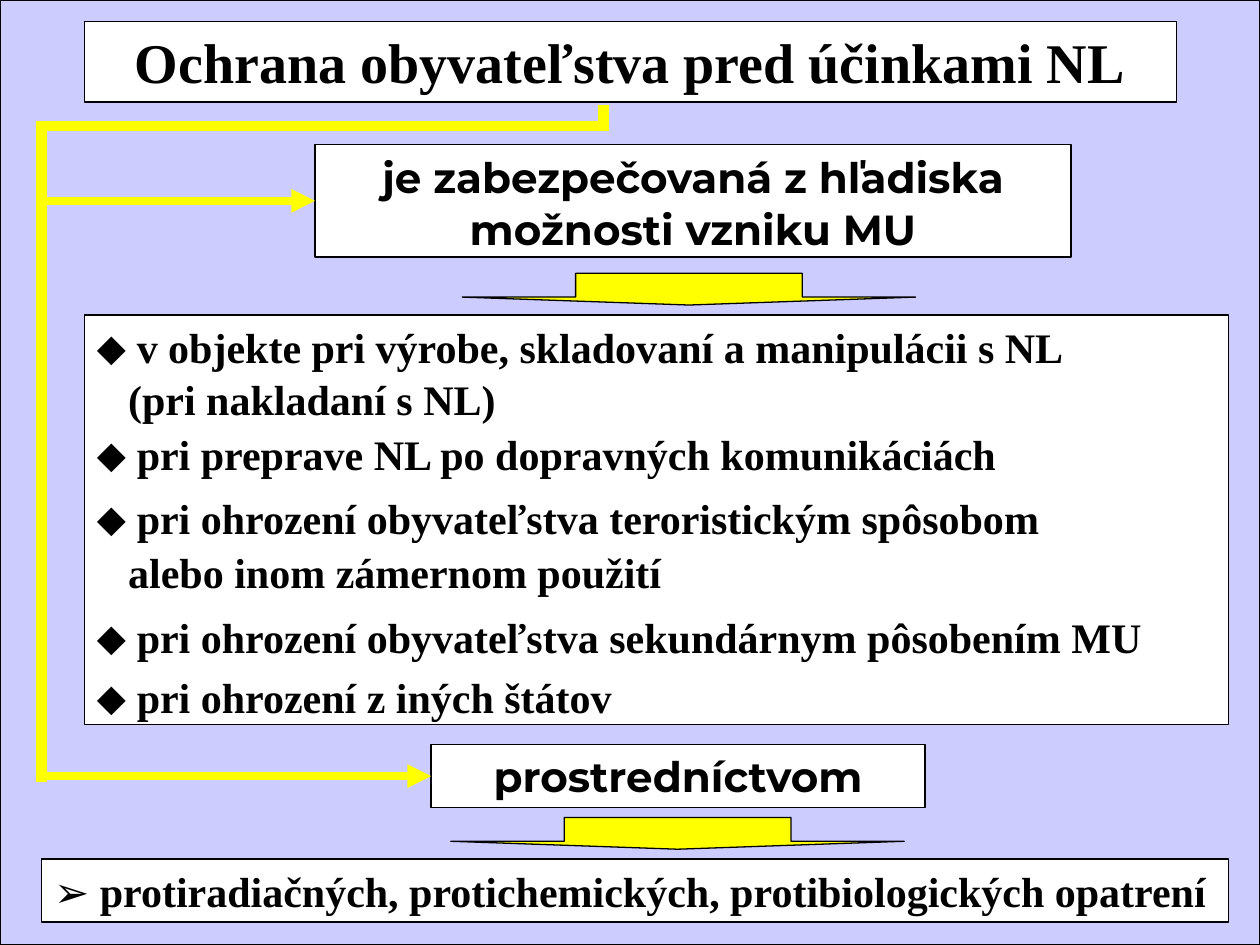
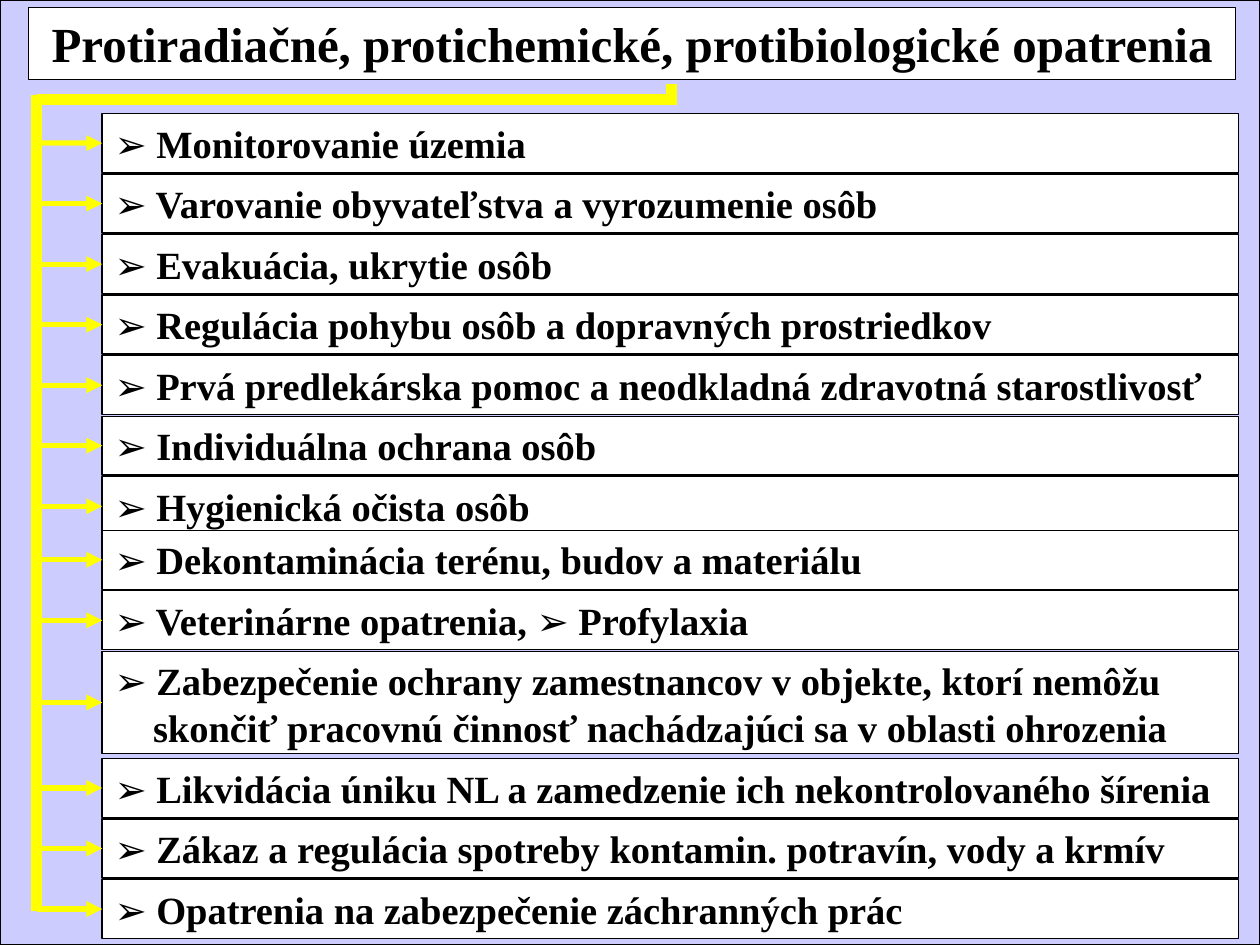
import dataclasses
import itertools

import pptx
import pptx.dml.color
import pptx.enum.shapes
import pptx.enum.text
import pptx.oxml
import pptx.oxml.ns
import pptx.util

Cm = pptx.util.Cm
Pt = pptx.util.Pt
SHAPE = pptx.enum.shapes.MSO_SHAPE
ALIGN = pptx.enum.text.PP_ALIGN


@dataclasses.dataclass(frozen=True)
class Theme:
    back: str = "CCCCFF"
    paper: str = "FFFFFF"
    ink: str = "000000"
    accent: str = "FFFF00"
    serif: str = "Times New Roman"
    sans: str = "Montserrat"
    symbol: str = "Arial"
    marks: str = "⬥➢"
    title: int = 32
    long_title: int = 28
    body: int = 24
    row: int = 22
    outline: float = 0.75
    trunk: float = 6
    branch: float = 4.5
    twig: float = 3


@dataclasses.dataclass(frozen=True)
class Line:
    """One paragraph: its text, space after (pt) and left indent (pt)."""
    text: str
    after: float = 3
    indent: float = 0


def rgb(value):
    return pptx.dml.color.RGBColor.from_string(value)


class Deck:
    def __init__(self, theme):
        self.theme = theme
        self.prs = pptx.Presentation()
        self.prs.slide_width, self.prs.slide_height = Cm(25.4), Cm(19.05)
        self.s = None

    def slide(self):
        self.s = self.prs.slides.add_slide(self.prs.slide_layouts[6])
        self.shape(SHAPE.RECTANGLE, 0, 0, 25.4, 19.05, self.theme.back)

    def shape(self, kind, x, y, w, h, fill):
        sp = self.s.shapes.add_shape(kind, Cm(x), Cm(y), Cm(w), Cm(h))
        sp.shadow.inherit = False
        sp.fill.solid()
        sp.fill.fore_color.rgb = rgb(fill)
        sp.line.color.rgb = rgb(self.theme.ink)
        sp.line.width = Pt(self.theme.outline)
        return sp

    def box(self, x, y, w, h, lines, size, font=None, align=ALIGN.LEFT, spacing=0.45):
        """White box; every paragraph after the first is set tight."""
        sp = self.shape(SHAPE.RECTANGLE, x, y, w, h, self.theme.paper)
        tf = sp.text_frame
        tf.word_wrap = True
        tf.auto_size = pptx.enum.text.MSO_AUTO_SIZE.SHAPE_TO_FIT_TEXT
        tf.vertical_anchor = pptx.enum.text.MSO_ANCHOR.TOP
        for i, line in enumerate(lines):
            p = tf.add_paragraph() if i else tf.paragraphs[0]
            p.alignment = align
            if i:
                p.line_spacing = spacing
                p.space_before = Pt(size * 0.625)
                p.space_after = Pt(line.after)
            if line.indent:
                p._p.get_or_add_pPr().set("marL", str(Pt(line.indent)))
            self.runs(p, line.text, size, font or self.theme.serif)
        return sp

    def runs(self, p, text, size, font):
        """Split the text so that list marks get the symbol font."""
        for is_mark, chars in itertools.groupby(text, lambda c: c in self.theme.marks):
            r = p.add_run()
            r.text = "".join(chars)
            r.font.name = self.theme.symbol if is_mark else font
            r.font.size = Pt(size)
            r.font.bold = True
            r.font.color.rgb = rgb(self.theme.ink)

    def line(self, x1, y1, x2, y2, width):
        cx = self.s.shapes.add_connector(
            pptx.enum.shapes.MSO_CONNECTOR.STRAIGHT, Cm(x1), Cm(y1), Cm(x2), Cm(y2))
        cx.line.color.rgb = rgb(self.theme.accent)
        cx.line.width = Pt(width)
        cx._element.spPr.append(pptx.oxml.parse_xml(
            f"<a:effectLst {pptx.oxml.ns.nsdecls('a')}/>"))
        return cx

    def arrow_to(self, sp, x, width):
        """Horizontal arrow from x to the middle of the box's left side."""
        y = (sp.top + sp.height // 2).cm if hasattr(sp.top + 0, "cm") else (
            pptx.util.Emu(sp.top + sp.height // 2).cm)
        cx = self.line(x, y, sp.left.cm, y, width)
        cx.end_connect(sp, 1)
        ln = cx.line._get_or_add_ln()
        ln.append(pptx.oxml.parse_xml(
            f"<a:tailEnd {pptx.oxml.ns.nsdecls('a')} type='triangle'/>"))

    def trunk(self, stem_x, stem_top, bar_y, rail_x, rail_bottom):
        """Stem below the title, bar to the left, rail down the side."""
        half = 0.1
        width = self.theme.trunk
        self.line(stem_x, stem_top, stem_x, bar_y, width)
        self.line(stem_x + half, bar_y, rail_x, bar_y, width)
        self.line(rail_x, bar_y - half, rail_x, rail_bottom, width)

    def down_arrow(self, x, y):
        sp = self.shape(SHAPE.DOWN_ARROW, x, y, 9.14, 0.64, self.theme.accent)
        sp.adjustments[0], sp.adjustments[1] = 0.5, 0.25


def protection_slide(deck):
    t = deck.theme
    deck.slide()

    # Title and the boxes below it
    deck.box(1.7, 0.43, 22.02, 1.63, [Line("Ochrana obyvateľstva pred účinkami NL")],
             t.title, align=ALIGN.CENTER)
    aspect = deck.box(6.35, 2.92, 15.24, 2.26,
                      [Line("je zabezpečovaná z hľadiska"), Line("možnosti vzniku MU")],
                      t.body, t.sans, ALIGN.CENTER)
    deck.box(1.7, 6.35, 23.06, 8.26, [
        Line("⬥ v objekte pri výrobe, skladovaní a manipulácii s NL"),
        Line("(pri nakladaní s NL)", indent=18),
        Line("⬥ pri preprave NL po dopravných komunikáciách", after=9),
        Line("⬥ pri ohrození obyvateľstva teroristickým spôsobom"),
        Line("alebo inom zámernom použití", after=9, indent=18),
        Line("⬥ pri ohrození obyvateľstva sekundárnym pôsobením MU", after=6),
        Line("⬥ pri ohrození z iných štátov"),
    ], t.body)
    means = deck.box(8.69, 15.01, 9.96, 1.27, [Line("prostredníctvom")],
                     t.body, t.sans, ALIGN.CENTER)
    deck.box(0.84, 17.32, 23.93, 1.27,
             [Line("➢ protiradiačných, protichemických, protibiologických opatrení")],
             t.body)

    # Yellow path and block arrows
    rail_x = 0.84
    deck.trunk(12.17, 2.11, 2.54, rail_x, 15.77)
    for sp in (aspect, means):
        deck.arrow_to(sp, rail_x, t.branch)
    deck.down_arrow(9.32, 5.51)
    deck.down_arrow(9.09, 16.48)


def measures_slide(deck):
    t = deck.theme
    deck.slide()
    rail_x, row_h, pitch = 0.74, 1.19, 1.22

    # Measures in three stacks: top of the stack and its rows
    stacks = [
        (2.29, ["Monitorovanie územia",
                "Varovanie obyvateľstva a vyrozumenie osôb",
                "Evakuácia, ukrytie osôb",
                "Regulácia pohybu osôb a dopravných prostriedkov",
                "Prvá predlekárska pomoc a neodkladná zdravotná starostlivosť",
                "Individuálna ochrana osôb",
                "Hygienická očista osôb"]),
        (10.69, ["Dekontaminácia terénu, budov a materiálu",
                 "Veterinárne opatrenia, ➢ Profylaxia",
                 "Zabezpečenie ochrany zamestnancov v objekte, ktorí nemôžu\n"
                 "skončiť pracovnú činnosť nachádzajúci sa v oblasti ohrozenia"]),
        (15.29, ["Likvidácia úniku NL a zamedzenie ich nekontrolovaného šírenia",
                 "Zákaz a regulácia spotreby kontamin. potravín, vody a krmív",
                 "Opatrenia na zabezpečenie záchranných prác"]),
    ]
    for top, measures in stacks:
        for i, measure in enumerate(measures):
            first, *rest = measure.split("\n")
            lines = [Line("➢ " + first)] + [Line(x, 2.75, 22) for x in rest]
            sp = deck.box(2.06, top + i * pitch, 22.91, row_h + 0.87 * len(rest),
                          lines, t.row, spacing=0.4)
            deck.arrow_to(sp, rail_x, t.twig)

    # Yellow path and title
    deck.trunk(13.54, 1.7, 2.01, rail_x, 18.36)
    deck.box(0.58, 0.15, 24.33, 1.45,
             [Line("Protiradiačné, protichemické, protibiologické opatrenia")],
             t.long_title, align=ALIGN.CENTER)


def main():
    deck = Deck(Theme())
    protection_slide(deck)
    measures_slide(deck)
    deck.prs.save("out.pptx")


if __name__ == "__main__":
    main()
